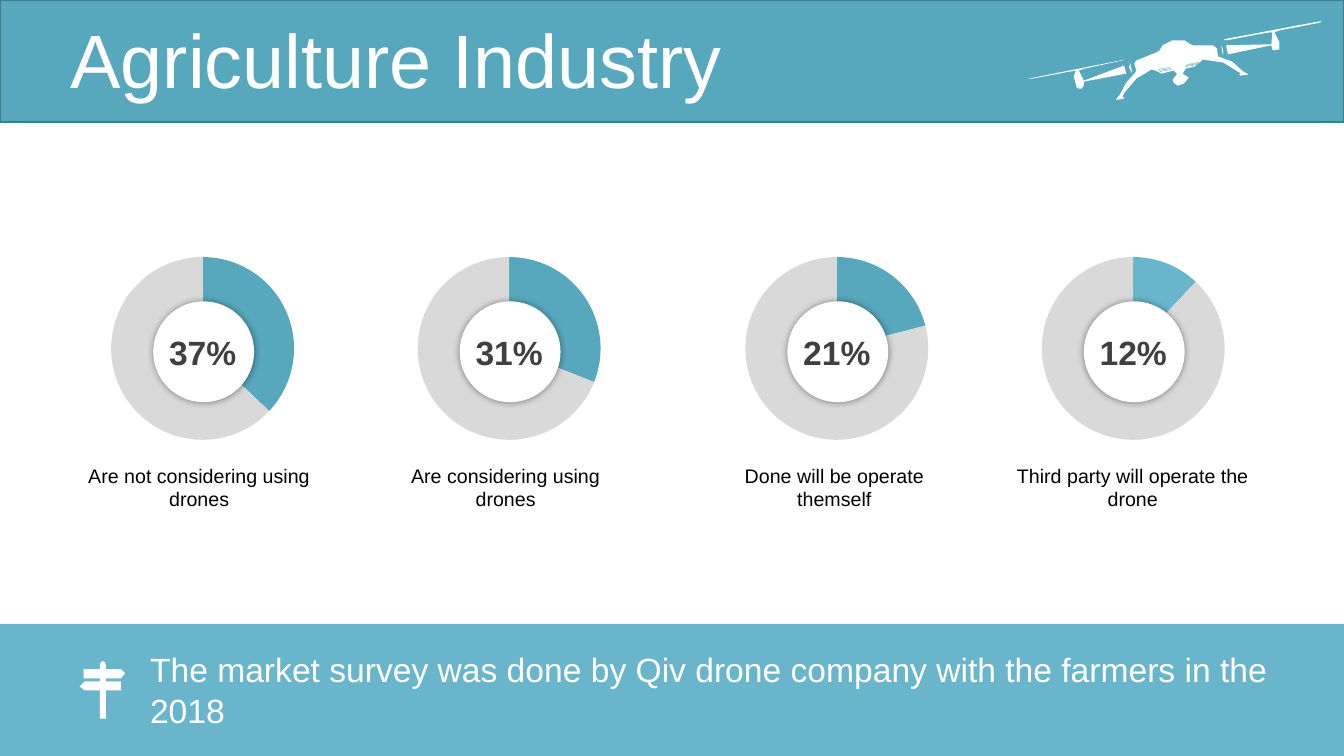
from dataclasses import dataclass

from lxml import etree
from pptx import Presentation, util as u
from pptx.chart.data import CategoryChartData
from pptx.dml.color import RGBColor
from pptx.enum import chart as charts, shapes, text
from pptx.oxml.ns import qn

TEAL, SKY, GREY = "57A7BD", "69B6CC", "D9D9D9"
WHITE, BLACK, DARK, EDGE = "FFFFFF", "000000", "404040", "407C8C"
FONT = "Arial"
UNITS_PER_INCH = 100

Points = list[tuple[int, int]]


@dataclass
class Share:
    percent: int
    caption: list[str]
    chart_left: float
    caption_left: float
    color: str = TEAL


SHARES = [
    Share(37, ["Are not considering using drones"], 1.1, 0.6),
    Share(31, ["Are considering using", "drones"], 4.14, 3.64),
    Share(21, ["Done will be operate themself"], 7.39, 6.9),
    Share(12, ["Third party will operate the drone"], 10.33, 9.86, SKY),
]

RIGHT_ROTOR = [
    (1214, 39), (1310, 21), (1310, 22), (1307, 23), (1270, 30), (1264, 32),
    (1269, 42), (1269, 46), (1269, 49), (1263, 50), (1262, 49), (1261, 45),
    (1218, 54), (1216, 45), (1261, 44), (1262, 33), (1261, 32), (1254, 33),
    (1217, 40), (1214, 40),
]
LEFT_ROTOR = [
    (1115, 65), (1117, 73), (1075, 81), (1075, 84), (1073, 88), (1070, 88),
    (1068, 87), (1065, 76), (1067, 70), (1061, 71), (1024, 78), (1020, 78),
    (1116, 59), (1113, 60), (1076, 68), (1070, 70), (1075, 80),
]
LEFT_CLAMP = [(1121, 62), (1123, 73), (1120, 67)]
RIGHT_CLAMP = [(1211, 45), (1213, 49), (1213, 55)]
DRONE_BODY = [
    (1235, 72), (1233, 71), (1222, 61), (1208, 56), (1207, 48), (1203, 45),
    (1183, 45), (1179, 43), (1175, 40), (1163, 40), (1153, 45), (1150, 50),
    (1147, 52), (1127, 60), (1125, 63), (1127, 70), (1126, 72), (1117, 82),
    (1110, 95), (1108, 97), (1107, 99), (1108, 99), (1114, 98), (1115, 97),
    (1114, 96), (1113, 96), (1116, 91), (1127, 78), (1142, 69), (1146, 70),
    (1152, 73), (1164, 70), (1167, 73), (1167, 74), (1163, 79), (1164, 82),
    (1168, 85), (1174, 83), (1179, 77), (1173, 73), (1176, 68), (1185, 66),
    (1192, 60), (1192, 59), (1213, 62), (1231, 73), (1229, 74), (1230, 75),
    (1238, 74), (1237, 73),
]
SIGNPOST = [
    (102, 656), (104, 657), (105, 660), (105, 664), (120, 664), (124, 668),
    (120, 673), (105, 673), (105, 676), (120, 676), (120, 685), (105, 685),
    (105, 713), (99, 713), (99, 685), (84, 685), (79, 681), (84, 676),
    (99, 676), (99, 673), (83, 673), (83, 664), (99, 664), (99, 660), (100, 657),
]
VENTS = [(11.48, 0.69), (11.49, 0.7), (11.5, 0.71),
         (11.76, 0.66), (11.76, 0.65), (11.77, 0.64)]


def rgb(color: str) -> RGBColor:
    return RGBColor.from_string(color)


def paint(shape, color: str) -> None:
    shape.shadow.inherit = False
    shape.fill.solid()
    shape.fill.fore_color.rgb = rgb(color)
    shape.line.fill.background()


def add_block(page, kind, left: float, top: float, width: float, height: float, color: str):
    block = page.shapes.add_shape(
        kind, u.Inches(left), u.Inches(top), u.Inches(width), u.Inches(height))
    paint(block, color)
    return block


def add_outline(collection, points: Points) -> None:
    builder = collection.build_freeform(*points[0], scale=u.Inches(1) / UNITS_PER_INCH)
    builder.add_line_segments(points[1:], close=True)
    paint(builder.convert_to_shape(), WHITE)


def add_text(page, lines: list[str], left: float, top: float, width: float, height: float,
             size: int, color: str, align=text.PP_ALIGN.CENTER, bold: bool = False):
    box = page.shapes.add_textbox(
        u.Inches(left), u.Inches(top), u.Inches(width), u.Inches(height))
    frame = box.text_frame
    frame.word_wrap = True
    frame.auto_size = text.MSO_AUTO_SIZE.SHAPE_TO_FIT_TEXT
    frame.text = "\n".join(lines)
    for paragraph in frame.paragraphs:
        paragraph.alignment = align
        style_font(paragraph.font, size, color, bold)
    return frame


def style_font(font, size: int, color: str, bold: bool = False) -> None:
    font.name = FONT
    font.size = u.Pt(size)
    font.bold = bold
    font.color.rgb = rgb(color)


def add_glow(shape) -> None:
    effects = shape.element.spPr.find(qn("a:effectLst"))
    shadow = etree.SubElement(effects, qn("a:outerShdw"), blurRad=str(u.Pt(5)), dist="0", dir="0")
    tint = etree.SubElement(shadow, qn("a:srgbClr"), val=BLACK)
    etree.SubElement(tint, qn("a:alpha"), val="40000")


def add_doughnut(page, share: Share) -> None:
    data = CategoryChartData()
    data.categories = ["1", "2"]
    data.add_series("Series 1", (share.percent, 100 - share.percent))
    chart = page.shapes.add_chart(
        charts.XL_CHART_TYPE.DOUGHNUT, u.Inches(share.chart_left), u.Inches(2.55),
        u.Inches(1.82), u.Inches(1.88), data).chart
    chart.has_legend = False
    chart.has_title = False
    style_font(chart.font, 18, BLACK)
    plot = chart.plots[0]
    plot.vary_by_categories = True
    for index, color in enumerate((share.color, GREY)):
        slice_format = plot.series[0].points[index].format
        slice_format.fill.solid()
        slice_format.fill.fore_color.rgb = rgb(color)
        slice_format.line.fill.background()
    chart.element.find(f".//{qn('c:holeSize')}").set("val", "80")
    area = chart.element.find(f".//{qn('c:plotArea')}")
    for layout in area.findall(qn("c:layout")):
        area.remove(layout)
    layout = etree.Element(qn("c:layout"))
    area.insert(0, layout)
    manual = etree.SubElement(layout, qn("c:manualLayout"))
    for tag, value in (("layoutTarget", "inner"), ("xMode", "edge"), ("yMode", "edge"),
                       ("x", "0"), ("y", "0"), ("w", "1"), ("h", "0.965")):
        etree.SubElement(manual, qn(f"c:{tag}"), val=value)


def add_share(page, share: Share) -> None:
    add_doughnut(page, share)
    add_glow(add_block(page, shapes.MSO_SHAPE.OVAL, share.chart_left + 0.42, 2.99, 1, 1, WHITE))
    label = add_text(page, [f"{share.percent}%"], share.chart_left + 0.4, 3.24, 1.02, 0.5,
                     24, DARK, bold=True)
    label.vertical_anchor = text.MSO_ANCHOR.MIDDLE
    add_text(page, share.caption, share.caption_left, 4.55, 2.75, 0.57, 14, BLACK)


def add_drone(page) -> None:
    drone = page.shapes.add_group_shape().shapes
    for points in (RIGHT_ROTOR, LEFT_ROTOR, LEFT_CLAMP, RIGHT_CLAMP, DRONE_BODY):
        add_outline(drone, points)
    for left, top in VENTS:
        vent = drone.add_connector(
            shapes.MSO_CONNECTOR.STRAIGHT, u.Inches(left), u.Inches(top),
            u.Inches(left + 0.12), u.Inches(top - 0.02))
        vent.line.color.rgb = rgb(TEAL)
        vent.line.width = u.Pt(0.25)
        etree.SubElement(vent.element.spPr, qn("a:effectLst"))


def add_header(page) -> None:
    banner = add_block(page, shapes.MSO_SHAPE.RECTANGLE, 0, 0, 13.33, 1.21, TEAL)
    banner.line.color.rgb = rgb(EDGE)
    banner.line.width = u.Pt(1)
    title = page.shapes.title
    title.element.addprevious(banner.element)
    title.left, title.top = u.Inches(0.6), u.Inches(0.24)
    title.width, title.height = u.Inches(12.41), u.Inches(0.79)
    frame = title.text_frame
    frame.text = "Agriculture Industry"
    frame.auto_size = text.MSO_AUTO_SIZE.NONE
    frame.vertical_anchor = text.MSO_ANCHOR.MIDDLE
    paragraph = frame.paragraphs[0]
    paragraph.alignment = text.PP_ALIGN.LEFT
    paragraph.line_spacing = 0.9
    style_font(paragraph.font, 54, WHITE)
    add_drone(page)


def add_footer(page) -> None:
    add_block(page, shapes.MSO_SHAPE.RECTANGLE, 0, 6.19, 13.33, 1.31, SKY)
    note = "The market survey was done by Qiv drone company with the farmers in the 2018"
    add_text(page, [note], 1.39, 6.39, 11.95, 0.91, 24, WHITE, text.PP_ALIGN.LEFT)
    add_outline(page.shapes, SIGNPOST)


def main() -> None:
    deck = Presentation()
    deck.slide_width, deck.slide_height = u.Inches(13.33), u.Inches(7.5)
    page = deck.slides.add_slide(deck.slide_layouts.get_by_name("Title Only"))
    add_header(page)
    for share in SHARES:
        add_share(page, share)
    add_footer(page)
    deck.save("out.pptx")


if __name__ == "__main__":
    main()
